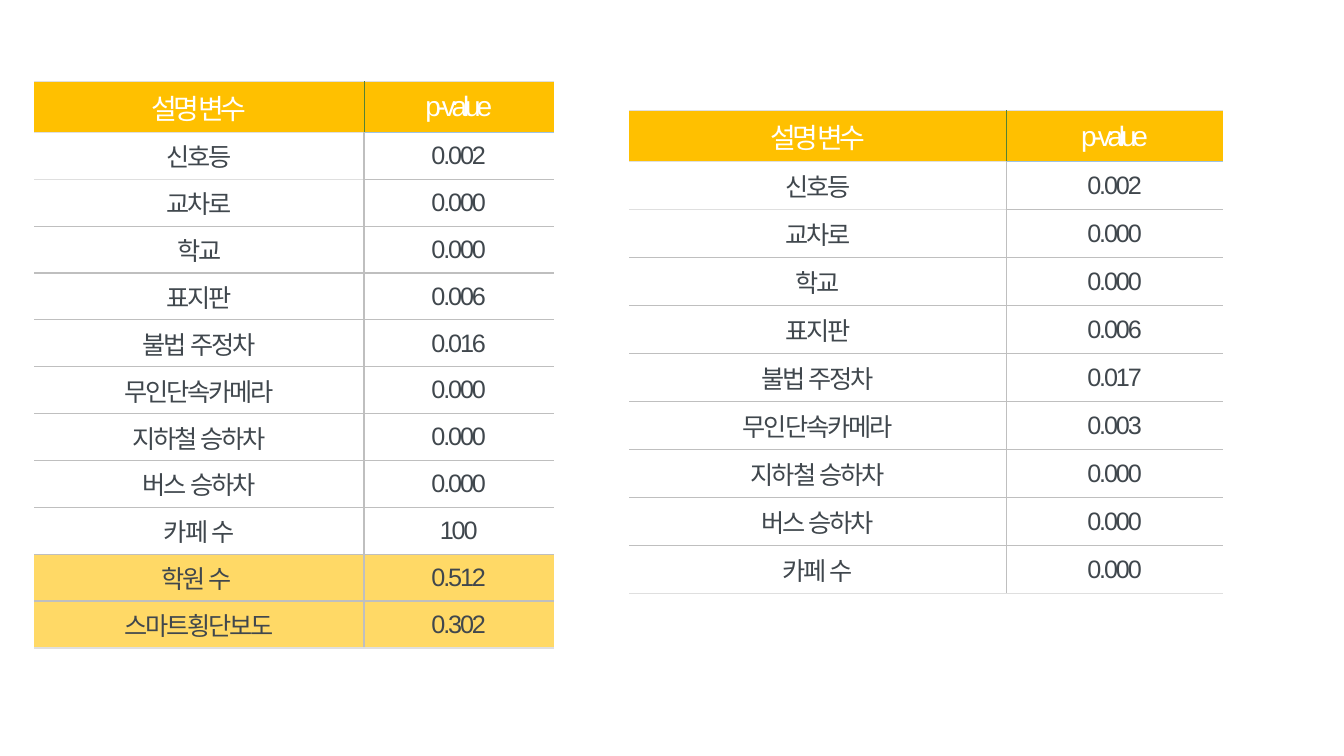
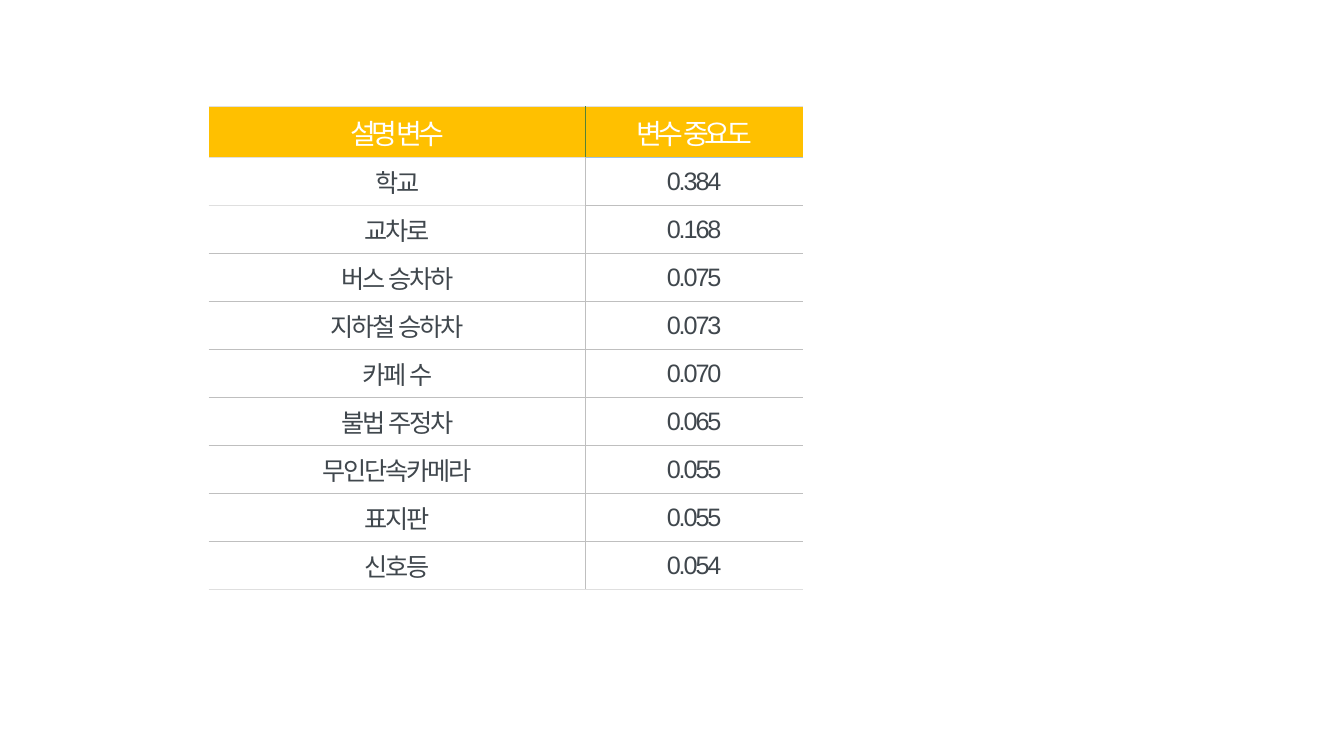
"""Build two slides of tables on the explanatory variables of a model."""
from dataclasses import dataclass

from lxml import etree
from pptx import Presentation
from pptx.dml.color import RGBColor
from pptx.enum.lang import MSO_LANGUAGE_ID
from pptx.enum.text import MSO_ANCHOR, PP_ALIGN
from pptx.oxml.ns import qn
from pptx.util import Inches, Pt

CENTER = PP_ALIGN.CENTER
MIDDLE = MSO_ANCHOR.MIDDLE
KOREAN = MSO_LANGUAGE_ID.KOREAN


@dataclass(frozen=True)
class Theme:
    """Colours, font and type sizes shared by the slides."""
    font: str = "Arial"
    header_size: int = 20
    body_size: int = 18
    header_spacing: float = -3
    body_spacing: float = -1.5
    header_fill: str = "FFC000"
    highlight_fill: str = "FFD966"
    body_fill: str = "FFFFFF"
    header_text: str = "FFFFFF"
    body_text: str = "40474D"
    rule: tuple = ("BFBFBF", 1)
    soft_rule: tuple = ("DFDFDF", 1)
    value_rule: tuple = ("9DC3E6", 0.5)
    header_divider: tuple = ("548235", 0.5)


THEME = Theme()

P_VALUES_ALL = [
    ("설명 변수", "p-value"),
    ("신호등", "0.002"),
    ("교차로", "0.000"),
    ("학교", "0.000"),
    ("표지판", "0.006"),
    ("불법 주정차", "0.016"),
    ("무인단속카메라", "0.000"),
    ("지하철 승하차", "0.000"),
    ("버스 승하차", "0.000"),
    ("카페 수", "100"),
    ("학원 수 ", "0.512"),
    ("스마트횡단보도", "0.302"),
]

P_VALUES_SELECTED = [
    ("설명 변수", "p-value"),
    ("신호등", "0.002"),
    ("교차로", "0.000"),
    ("학교", "0.000"),
    ("표지판", "0.006"),
    ("불법 주정차", "0.017"),
    ("무인단속카메라", "0.003"),
    ("지하철 승하차", "0.000"),
    ("버스 승하차", "0.000"),
    ("카페 수", "0.000"),
]

IMPORTANCES = [
    ("설명 변수", "변수 중요도"),
    ("학교", "0.384"),
    ("교차로", "0.168"),
    ("버스 승차하", "0.075"),
    ("지하철 승하차", "0.073"),
    ("카페 수", "0.070"),
    ("불법 주정차", "0.065"),
    ("무인단속카메라", "0.055"),
    ("표지판", "0.055"),
    ("신호등", "0.054"),
]


def write_text(cell, text, *, size, color, spacing):
    """Write centred text into a cell with the given format."""
    cell.vertical_anchor = MIDDLE
    paragraph = cell.text_frame.paragraphs[0]
    paragraph.alignment = CENTER
    run = paragraph.add_run()
    run.text = text
    font = run.font
    font.name = THEME.font
    font.size = Pt(size)
    font.bold = False
    font.color.rgb = RGBColor.from_string(color)
    font.language_id = KOREAN
    run._r.get_or_add_rPr().set("spc", str(round(spacing * 100)))


def draw_borders(cell, **sides):
    """Draw the left, right, top and bottom border, or clear those given as None."""
    properties = cell._tc.get_or_add_tcPr()
    for side in ("left", "right", "top", "bottom"):
        line = etree.SubElement(properties, qn(f"a:ln{side[0].upper()}"))
        border = sides[side]
        if border is None:
            etree.SubElement(line, qn("a:noFill"))
            continue
        color, width = border
        line.set("w", str(Pt(width)))
        fill = etree.SubElement(line, qn("a:solidFill"))
        etree.SubElement(fill, qn("a:srgbClr")).set("val", color)


def horizontal_rule(edge, column, row_count):
    """Return the rule on a horizontal edge, counted from the table top."""
    if edge in (0, row_count):
        return THEME.soft_rule
    if edge == 1 and column == 1:
        return THEME.value_rule
    if edge <= 2 and column == 0:
        return THEME.soft_rule
    return THEME.rule


def add_variable_table(slide, rows, *, left, top, height, widths, highlighted=()):
    """Add a two-column table of variables with equal rows and a coloured header."""
    frame = slide.shapes.add_table(
        len(rows), len(widths), Inches(left), Inches(top),
        Inches(sum(widths)), Inches(height))
    table = frame.table
    table.horz_banding = False
    for column, width in zip(table.columns, widths):
        column.width = Inches(width)
    for row, entries in enumerate(rows):
        table.rows[row].height = Inches(height / len(rows))
        is_header = row == 0
        divider = THEME.header_divider if is_header else THEME.rule
        if is_header:
            fill = THEME.header_fill
            style = dict(size=THEME.header_size, color=THEME.header_text,
                         spacing=THEME.header_spacing)
        else:
            fill = THEME.highlight_fill if entries[0] in highlighted else THEME.body_fill
            style = dict(size=THEME.body_size, color=THEME.body_text,
                         spacing=THEME.body_spacing)
        for column, entry in enumerate(entries):
            cell = table.cell(row, column)
            write_text(cell, entry, **style)
            draw_borders(
                cell,
                left=divider if column == 1 else None,
                right=divider if column == 0 else None,
                top=horizontal_rule(row, column, len(rows)),
                bottom=horizontal_rule(row + 1, column, len(rows)))
            cell.fill.solid()
            cell.fill.fore_color.rgb = RGBColor.from_string(fill)


def main():
    """Build and save the presentation."""
    deck = Presentation()
    deck.slide_width, deck.slide_height = Inches(13.33), Inches(7.5)
    blank = deck.slide_layouts[6]
    wide_table = dict(height=4.76, widths=(3.74, 2.15))

    p_value_slide = deck.slides.add_slide(blank)
    add_variable_table(p_value_slide, P_VALUES_ALL, left=0.34, top=0.81,
                       height=5.58, widths=(3.27, 1.88),
                       highlighted=("학원 수 ", "스마트횡단보도"))
    add_variable_table(p_value_slide, P_VALUES_SELECTED, left=6.24, top=1.1, **wide_table)

    importance_slide = deck.slides.add_slide(blank)
    add_variable_table(importance_slide, IMPORTANCES, left=2.07, top=1.06, **wide_table)

    deck.save("out.pptx")


if __name__ == "__main__":
    main()
